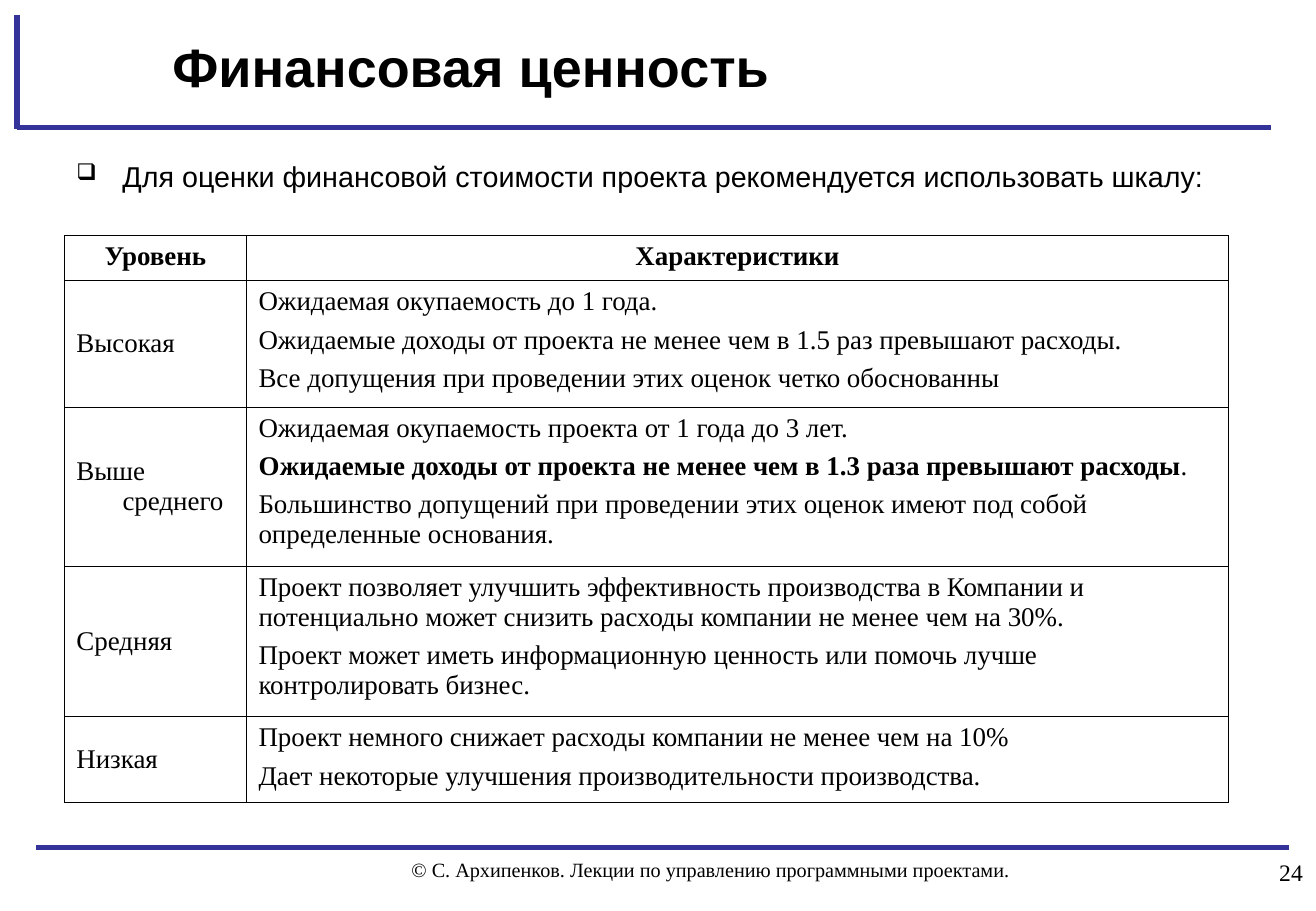
import pptx
import pptx.dml.color
import pptx.enum.shapes
import pptx.enum.text
import pptx.oxml
import pptx.oxml.ns
import pptx.util
from pptx.util import Inches

BLACK = pptx.dml.color.RGBColor(0x00, 0x00, 0x00)
NAVY = pptx.dml.color.RGBColor(0x33, 0x33, 0x99)
SANS = "Arial"
SERIF = "Times New Roman"
ALIGN = pptx.enum.text.PP_ALIGN
ANCHOR = pptx.enum.text.MSO_ANCHOR

HEADERS = ["Уровень", "Характеристики"]
LEVELS = [
    ("Высокая", [
        "Ожидаемая окупаемость до 1 года.",
        "Ожидаемые доходы от проекта не менее чем в 1.5 раз превышают расходы.",
        "Все допущения при проведении этих оценок четко обоснованны",
    ]),
    ("Выше среднего", [
        "Ожидаемая окупаемость проекта от 1 года до 3 лет.",
        [("Ожидаемые доходы от проекта не менее чем в 1.3 раза превышают расходы", True),
         (".", False)],
        "Большинство допущений при проведении этих оценок имеют под собой определенные основания.",
    ]),
    ("Средняя", [
        "Проект позволяет улучшить эффективность производства в Компании и "
        "потенциально может снизить расходы компании не менее чем на 30%.",
        "Проект может иметь информационную ценность или помочь лучше контролировать бизнес.",
    ]),
    ("Низкая", [
        "Проект немного снижает расходы компании не менее чем на 10%",
        "Дает некоторые улучшения производительности производства.",
    ]),
]
COLUMN_WIDTHS = [1.5, 8.09]
ROW_HEIGHTS = [0.37, 1.04, 1.31, 1.24, 0.7]


def append_xml(parent, xml):
    ns = pptx.oxml.ns.nsdecls("a")
    parent.append(pptx.oxml.parse_xml(xml.replace("NS", ns, 1)))


def write(tf, paragraphs, size, font=SERIF, bold=False, align=ALIGN.LEFT,
          after=0, before=0, spacing=1.0, hanging=0, bullet=None):
    for i, content in enumerate(paragraphs):
        p = tf.paragraphs[0] if i == 0 else tf.add_paragraph()
        p.alignment = align
        p.space_before = pptx.util.Pt(before)
        p.space_after = pptx.util.Pt(after)
        p.line_spacing = spacing
        pPr = p._p.get_or_add_pPr()
        pPr.set("marL", str(Inches(hanging)))
        pPr.set("indent", str(-Inches(hanging)))
        if bullet:
            append_xml(pPr, f'<a:buClr NS><a:srgbClr val="{BLACK}"/></a:buClr>')
            append_xml(pPr, '<a:buSzPct NS val="80000"/>')
            append_xml(pPr, f'<a:buChar NS char="{bullet}"/>')
        runs = [(content, bold)] if isinstance(content, str) else content
        for text, strong in runs:
            r = p.add_run()
            r.text = text
            r.font.name = font
            r.font.size = pptx.util.Pt(size)
            r.font.bold = strong
            r.font.color.rgb = BLACK


def add_rule(s, x1, y1, x2, y2):
    line = s.shapes.add_connector(pptx.enum.shapes.MSO_CONNECTOR.STRAIGHT,
                                  Inches(x1), Inches(y1), Inches(x2), Inches(y2))
    line.line.color.rgb = NAVY
    line.line.width = pptx.util.Pt(3)
    append_xml(line._element.spPr, "<a:effectLst NS/>")


def add_text(s, x, y, w, h, text, size, **fmt):
    sp = s.shapes.add_textbox(Inches(x), Inches(y), Inches(w), Inches(h))
    sp.text_frame.word_wrap = True
    write(sp.text_frame, [text], size, **fmt)


def set_title(s, text):
    sp = s.shapes.title
    sp.left, sp.top = Inches(1.32), Inches(0.12)
    sp.width, sp.height = Inches(8.99), Inches(0.84)
    tf = sp.text_frame
    tf.auto_size = pptx.enum.text.MSO_AUTO_SIZE.NONE
    tf.vertical_anchor = ANCHOR.MIDDLE
    write(tf, [text], 32, font=SANS, bold=True)


def fill_cell(cell, paragraphs, anchor=ANCHOR.TOP, **fmt):
    cell.margin_left = cell.margin_right = Inches(0.1)
    cell.margin_top = cell.margin_bottom = Inches(0.05)
    cell.vertical_anchor = anchor
    write(cell.text_frame, paragraphs, 16, **fmt)
    tcPr = cell._tc.get_or_add_tcPr()
    for side in ("lnL", "lnR", "lnT", "lnB"):
        append_xml(tcPr, f'<a:{side} NS w="{pptx.util.Pt(0.45)}"><a:solidFill>'
                         f'<a:srgbClr val="{BLACK}"/></a:solidFill></a:{side}>')
    cell.fill.background()


def add_levels_table(s):
    frame = s.shapes.add_table(len(ROW_HEIGHTS), len(COLUMN_WIDTHS),
                               Inches(0.53), Inches(1.94),
                               Inches(sum(COLUMN_WIDTHS)), Inches(sum(ROW_HEIGHTS)))
    table = frame.table
    table.first_row = False
    table.horz_banding = False
    for column, width in zip(table.columns, COLUMN_WIDTHS):
        column.width = Inches(width)
    for row, height in zip(table.rows, ROW_HEIGHTS):
        row.height = Inches(height)
    for col, header in enumerate(HEADERS):
        fill_cell(table.cell(0, col), [header], bold=True, align=ALIGN.CENTER)
    for row, (level, traits) in enumerate(LEVELS, start=1):
        fill_cell(table.cell(row, 0), [level], anchor=ANCHOR.MIDDLE, hanging=0.38)
        fill_cell(table.cell(row, 1), traits, after=5)


def main():
    prs = pptx.Presentation()
    prs.slide_width, prs.slide_height = Inches(10.84), Inches(7.5)
    s = prs.slides.add_slide(prs.slide_layouts[5])
    add_rule(s, 0.3, 6.98, 10.62, 6.98)
    add_rule(s, 0.14, 1.05, 10.47, 1.05)
    add_rule(s, 0.14, 0.12, 0.14, 1.06)
    add_text(s, 3.29, 7.01, 5.72, 0.49,
             "© С. Архипенков. Лекции по управлению программными проектами.", 12)
    add_text(s, 9.51, 7.01, 1.32, 0.49, "24", 14, align=ALIGN.RIGHT)
    set_title(s, "Финансовая ценность")
    add_text(s, 0.53, 1.31, 9.92, 0.39,
             "Для оценки финансовой стоимости проекта рекомендуется использовать шкалу:",
             17, font=SANS, before=10.6, spacing=0.8, hanging=0.38, bullet="❑")
    add_levels_table(s)
    prs.save("out.pptx")


if __name__ == "__main__":
    main()
